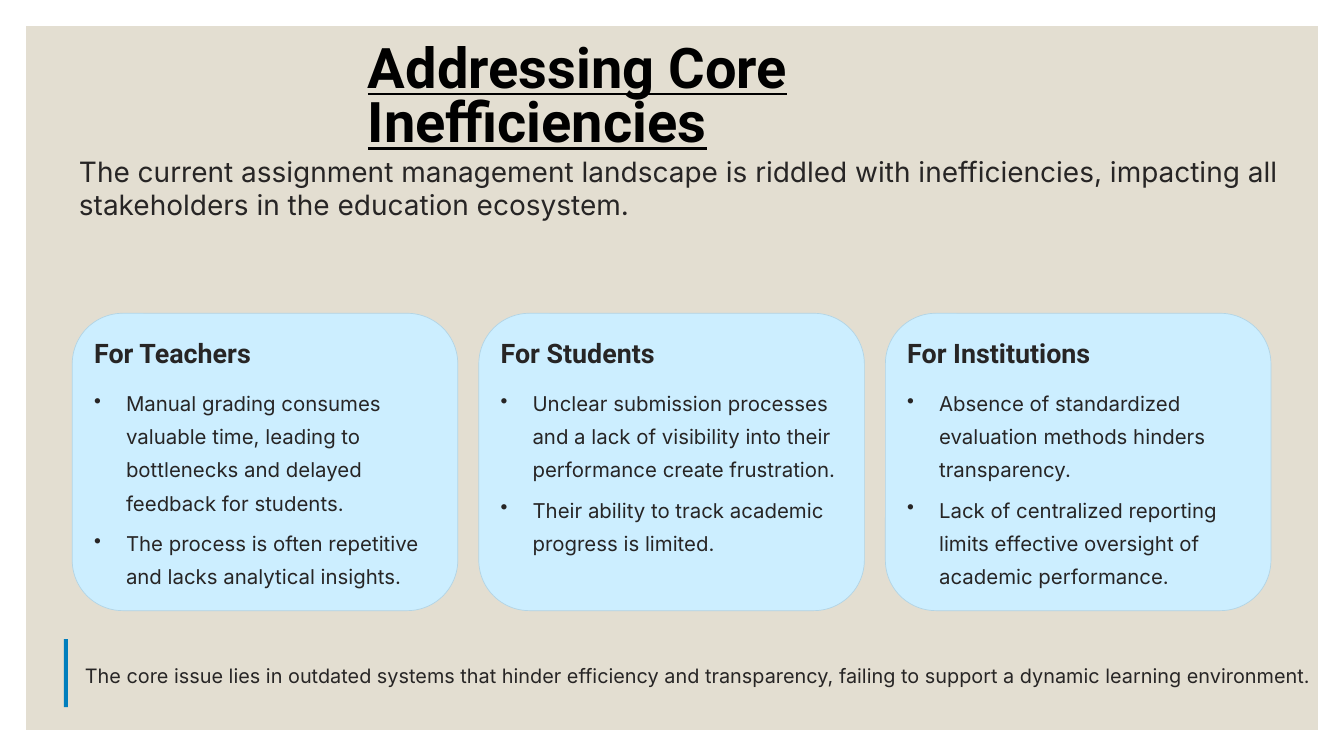
from dataclasses import dataclass

from lxml import etree
from pptx import Presentation
from pptx import util as u
from pptx.dml.color import RGBColor
from pptx.enum import shapes, text
from pptx.oxml import ns

COLUMNS, ROWS = 16, 9
WIDTH, HEIGHT = u.Inches(16), u.Inches(9)
INK = "272525"
CARD_LEFT, CARD_TOP, CARD_STEP = 0.86, 3.73, 4.84
CARD_WIDTH, CARD_HEIGHT, CARD_PADDING = 4.59, 3.54, 0.26
BULLET_TOP, BULLET_LINE, BULLET_GAP = 4.55, 0.4, 0.07
BULLET_INDENT = u.Inches(0.38)


@dataclass(frozen=True)
class Area:
    """A rectangle measured in grid columns and rows."""

    left: float
    top: float
    width: float
    height: float

    def frame(self) -> dict:
        """Return the position and size as slide lengths."""
        return {
            "left": round(WIDTH * self.left / COLUMNS),
            "top": round(HEIGHT * self.top / ROWS),
            "width": round(WIDTH * self.width / COLUMNS),
            "height": round(HEIGHT * self.height / ROWS),
        }


@dataclass(frozen=True)
class Style:
    """The look of one kind of text."""

    name: str
    size: float
    spacing: float
    color: str = INK
    bold: bool = False
    underline: bool = False
    wrap: bool = True
    bullet: bool = False


@dataclass(frozen=True)
class Bullet:
    """A bullet text and the lines it takes."""

    words: str
    lines: int


@dataclass(frozen=True)
class Card:
    """A stakeholder heading with its bullets."""

    heading: str
    bullets: tuple[Bullet, ...]


TITLE = Style("Roboto", 48, 46.5, color="000000", bold=True, underline=True, wrap=False)
INTRO = Style("Inter", 24, 28.5)
HEADING = Style("Roboto", 23, 29, bold=True, wrap=False)
BULLET = Style("Inter", 17.5, 28.5, bullet=True)
CLOSING = Style("Inter", 17, 24, wrap=False)

CARDS = (
    Card("For Teachers", (
        Bullet("Manual grading consumes valuable time, leading to bottlenecks and delayed feedback for students.", 4),
        Bullet("The process is often repetitive and lacks analytical insights.", 2),
    )),
    Card("For Students", (
        Bullet("Unclear submission processes and a lack of visibility into their performance create frustration.", 3),
        Bullet("Their ability to track academic progress is limited.", 2),
    )),
    Card("For Institutions", (
        Bullet("Absence of standardized evaluation methods hinders transparency.", 3),
        Bullet("Lack of centralized reporting limits effective oversight of academic performance.", 3),
    )),
)


def assign(target, values: dict) -> None:
    """Set every attribute named in the dict."""
    for name, value in values.items():
        setattr(target, name, value)


def paint(color_format, color: str) -> None:
    """Apply a hex colour to a colour format."""
    color_format.rgb = RGBColor.from_string(color)


def add_block(page, kind, area: Area, fill: str, line: str | None = None):
    """Draw a filled preset shape with an optional thin outline."""
    block = page.shapes.add_shape(kind, **area.frame())
    block.shadow.inherit = False
    block.fill.solid()
    paint(block.fill.fore_color, fill)
    if line:
        block.line.width = u.Pt(0.6)
        paint(block.line.color, line)
    else:
        block.line.fill.background()
    return block


def add_bullet_mark(para) -> None:
    """Give a paragraph a hanging bullet."""
    properties = para._p.get_or_add_pPr()
    properties.set("marL", str(BULLET_INDENT))
    properties.set("indent", str(-BULLET_INDENT))
    etree.SubElement(properties, ns.qn("a:buChar")).set("char", "•")


def write(box, words: str, style: Style) -> None:
    """Fill a text box with one styled paragraph."""
    assign(box.text_frame, {
        "margin_left": 0,
        "margin_top": 0,
        "margin_right": 0,
        "margin_bottom": 0,
        "auto_size": text.MSO_AUTO_SIZE.NONE,
        "vertical_anchor": text.MSO_ANCHOR.TOP,
        "word_wrap": style.wrap,
    })
    para = box.text_frame.paragraphs[0]
    assign(para, {"alignment": text.PP_ALIGN.LEFT, "line_spacing": u.Pt(style.spacing)})
    if style.bullet:
        add_bullet_mark(para)
    span = para.add_run()
    span.text = words
    assign(span.font, {
        "name": style.name,
        "size": u.Pt(style.size),
        "bold": style.bold,
        "underline": style.underline,
    })
    paint(span.font.color, style.color)


def add_text(page, area: Area, words: str, style: Style) -> None:
    """Add a text box with styled words."""
    write(page.shapes.add_textbox(**area.frame()), words, style)


def add_card(page, card: Card, index: int) -> None:
    """Draw a stakeholder card at its place in the row."""
    left = CARD_LEFT + index * CARD_STEP
    area = Area(left, CARD_TOP, CARD_WIDTH, CARD_HEIGHT)
    panel = add_block(page, shapes.MSO_SHAPE.ROUNDED_RECTANGLE, area, "CCEEFF", "B2D4E5")
    panel.adjustments[0] = 0.17
    inner = left + CARD_PADDING
    add_text(page, Area(inner, CARD_TOP + CARD_PADDING, 3.26, 0.41), card.heading, HEADING)
    top = BULLET_TOP
    for bullet in card.bullets:
        height = bullet.lines * BULLET_LINE
        add_text(page, Area(inner, top, 4.08, height), bullet.words, BULLET)
        top += height + BULLET_GAP


def main() -> None:
    """Build and save the slide."""
    deck = Presentation()
    assign(deck, {"slide_width": WIDTH, "slide_height": HEIGHT})
    page = deck.slides.add_slide(deck.slide_layouts[5])
    title = page.shapes.title
    assign(title, Area(4.38, 0.54, 6.63, 1.32).frame())
    write(title, "Addressing Core Inefficiencies", TITLE)
    backdrop = add_block(page, shapes.MSO_SHAPE.RECTANGLE, Area(0.31, 0.31, 15.38, 8.38), "E3DED1")
    title.element.addprevious(backdrop.element)
    add_text(
        page,
        Area(0.94, 1.84, 14.34, 1.19),
        "The current assignment management landscape is riddled with inefficiencies, "
        "impacting all stakeholders in the education ecosystem.",
        INTRO,
    )
    for index, card in enumerate(CARDS):
        add_card(page, card, index)
    add_block(page, shapes.MSO_SHAPE.RECTANGLE, Area(0.76, 7.61, 0.05, 0.81), "007EBD")
    add_text(
        page,
        Area(1.01, 7.85, 14.21, 0.34),
        "The core issue lies in outdated systems that hinder efficiency and transparency, "
        "failing to support a dynamic learning environment.",
        CLOSING,
    )
    deck.save("out.pptx")


if __name__ == "__main__":
    main()
